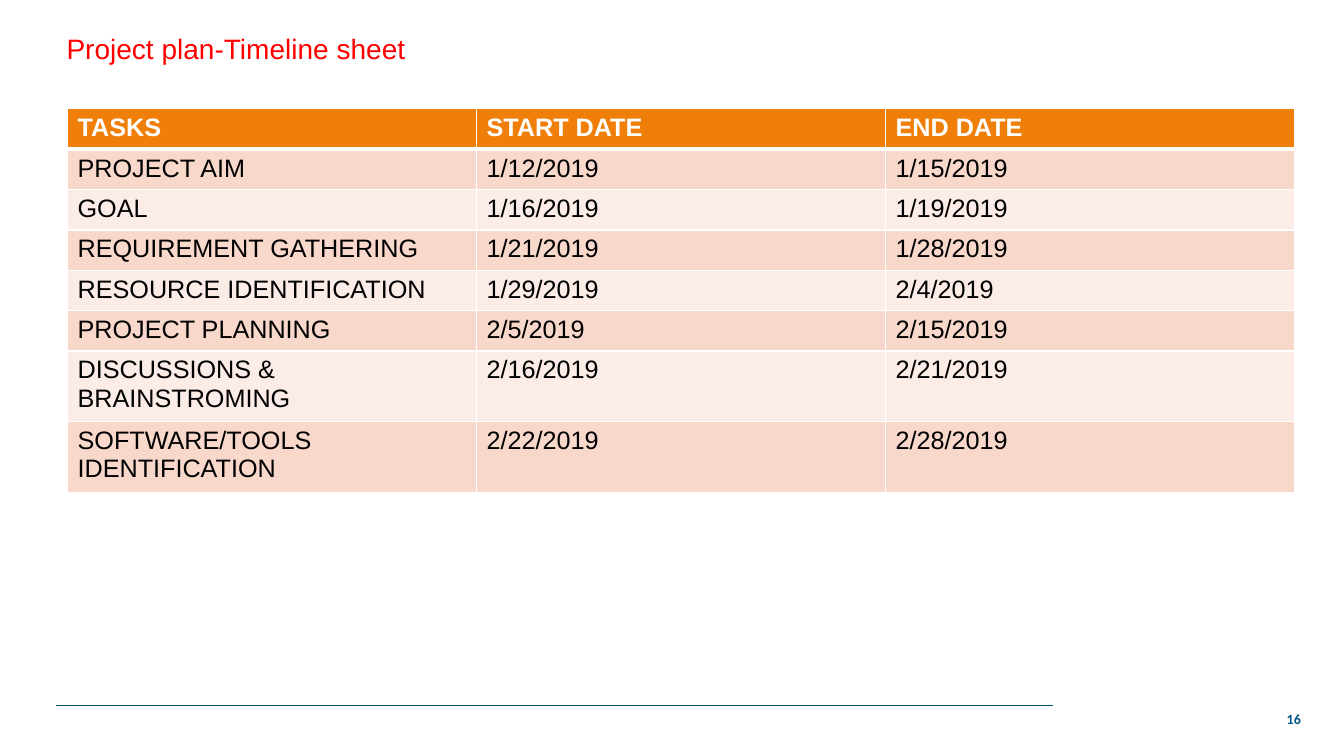
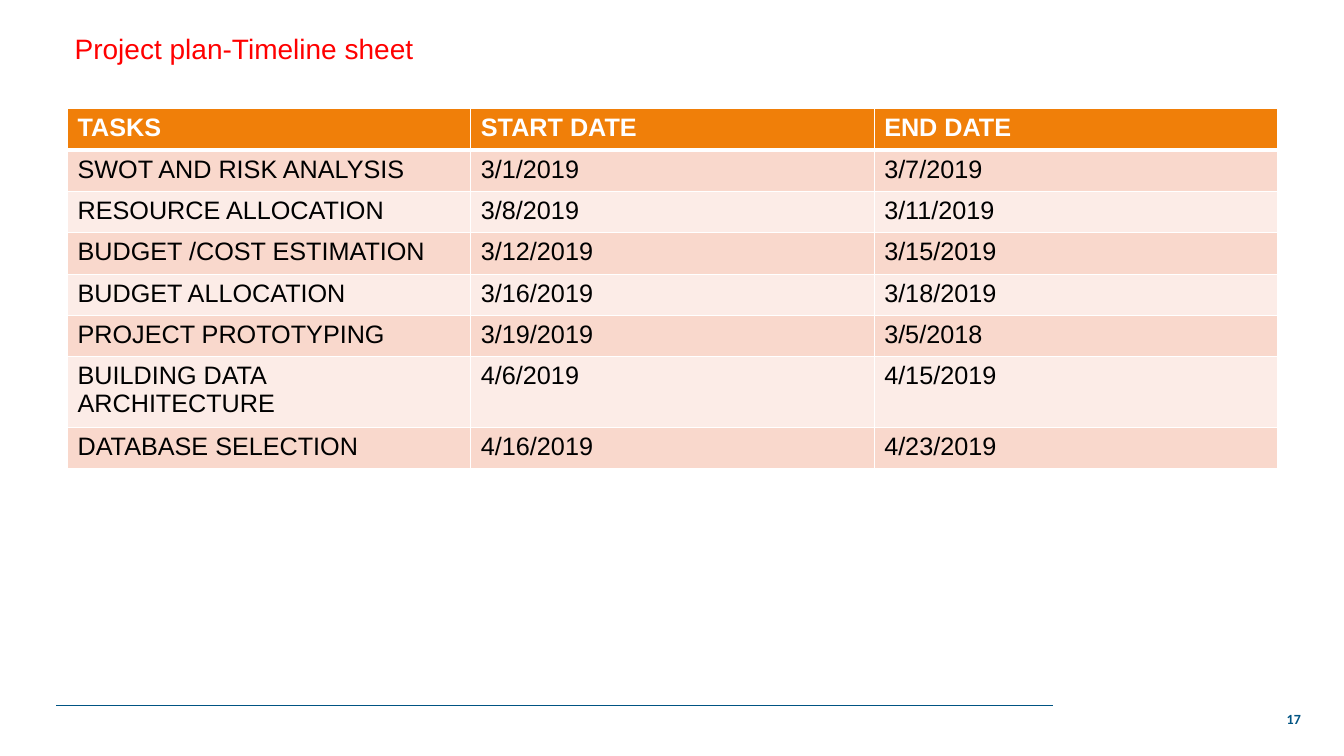
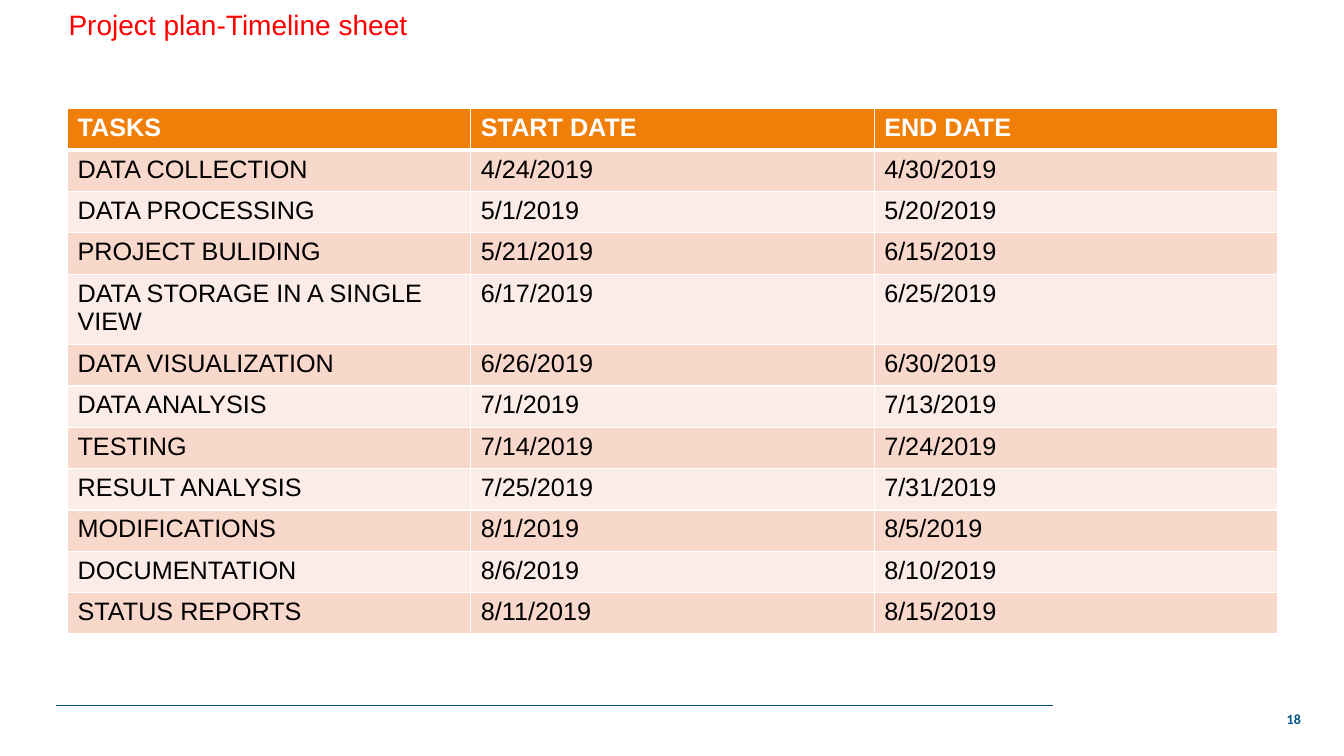
"""Build the three project plan timeline slides."""
from dataclasses import dataclass

from lxml.etree import SubElement
from pptx import Presentation
from pptx.dml.color import RGBColor
from pptx.enum.shapes import MSO_CONNECTOR
from pptx.enum.text import MSO_ANCHOR, PP_ALIGN
from pptx.oxml.ns import qn
from pptx.presentation import Presentation as Deck
from pptx.slide import Slide
from pptx.table import _Cell
from pptx.text.text import _Paragraph
from pptx.util import Inches, Pt

WHITE = RGBColor(0xFF, 0xFF, 0xFF)
BLACK = RGBColor(0x00, 0x00, 0x00)
RED = RGBColor(0xFF, 0x00, 0x00)
NAVY = RGBColor(0x00, 0x54, 0x83)
ORANGE = RGBColor(0xF0, 0x7F, 0x09)
BANDS = (RGBColor(0xF9, 0xD8, 0xCC), RGBColor(0xFC, 0xEC, 0xE7))
TITLE = "Project plan-Timeline sheet"
HEADER = ("TASKS", "START DATE", "END DATE")
FIRST_NUMBER = 16


@dataclass(frozen=True)
class Task:
    name: str
    start: str
    end: str
    height: float = 0.41


@dataclass(frozen=True)
class Sheet:
    tasks: tuple[Task, ...]
    header_height: float = 0.41
    table_width: float = 12
    title_left: float = 0.56
    title_top: float = 0.17
    title_inset: float = 0.1


SHEETS = (
    Sheet((
        Task("PROJECT AIM", "1/12/2019", "1/15/2019", 0.33),
        Task("GOAL", "1/16/2019", "1/19/2019", 0.33),
        Task("REQUIREMENT GATHERING", "1/21/2019", "1/28/2019", 0.33),
        Task("RESOURCE IDENTIFICATION", "1/29/2019", "2/4/2019", 0.33),
        Task("PROJECT PLANNING", "2/5/2019", "2/15/2019", 0.33),
        Task("DISCUSSIONS & BRAINSTROMING", "2/16/2019", "2/21/2019", 0.58),
        Task("SOFTWARE/TOOLS IDENTIFICATION", "2/22/2019", "2/28/2019", 0.58),
    ), header_height=0.33, table_width=12.17),
    Sheet((
        Task("SWOT AND RISK ANALYSIS", "3/1/2019", "3/7/2019"),
        Task("RESOURCE ALLOCATION", "3/8/2019", "3/11/2019"),
        Task("BUDGET /COST ESTIMATION", "3/12/2019", "3/15/2019"),
        Task("BUDGET ALLOCATION", "3/16/2019", "3/18/2019"),
        Task("PROJECT PROTOTYPING", "3/19/2019", "3/5/2018"),
        Task("BUILDING DATA ARCHITECTURE", "4/6/2019", "4/15/2019"),
        Task("DATABASE SELECTION", "4/16/2019", "4/23/2019"),
    ), title_inset=0.18),
    Sheet((
        Task("DATA COLLECTION", "4/24/2019", "4/30/2019"),
        Task("DATA PROCESSING", "5/1/2019", "5/20/2019"),
        Task("PROJECT BULIDING", "5/21/2019", "6/15/2019"),
        Task("DATA STORAGE IN A SINGLE VIEW", "6/17/2019", "6/25/2019"),
        Task("DATA VISUALIZATION", "6/26/2019", "6/30/2019"),
        Task("DATA ANALYSIS", "7/1/2019", "7/13/2019"),
        Task("TESTING", "7/14/2019", "7/24/2019"),
        Task("RESULT ANALYSIS", "7/25/2019", "7/31/2019"),
        Task("MODIFICATIONS", "8/1/2019", "8/5/2019"),
        Task("DOCUMENTATION", "8/6/2019", "8/10/2019"),
        Task("STATUS REPORTS", "8/11/2019", "8/15/2019"),
    ), title_left=0.58, title_top=-0.07),
)


def add_run(p: _Paragraph, text: str, size: float, color: RGBColor,
            bold: bool = False, font: str = "Arial") -> None:
    r = p.add_run()
    r.text = text
    r.font.name = font
    r.font.size = Pt(size)
    r.font.bold = bold
    r.font.color.rgb = color


def add_title(s: Slide, sheet: Sheet) -> None:
    sp = s.shapes.title
    sp.left, sp.top = Inches(sheet.title_left), Inches(sheet.title_top)
    sp.width, sp.height = Inches(12), Inches(0.62)
    tf = sp.text_frame
    tf.vertical_anchor = MSO_ANCHOR.MIDDLE
    tf.margin_left = Inches(sheet.title_inset)
    p = tf.paragraphs[0]
    p.alignment = PP_ALIGN.LEFT
    add_run(p, TITLE, 20, RED)


def add_footer(s: Slide, number: int) -> None:
    sp = s.shapes.add_textbox(Inches(9.56), Inches(6.83), Inches(3.44), Inches(0.52))
    tf = sp.text_frame
    tf.word_wrap = True
    tf.margin_top = Inches(0.22)
    p = tf.paragraphs[0]
    p.alignment = PP_ALIGN.RIGHT
    add_run(p, str(number), 10, NAVY, True, "Calibri")
    rule = s.shapes.add_connector(MSO_CONNECTOR.STRAIGHT, Inches(0.56), Inches(7),
                                  Inches(10.44), Inches(7))
    rule.line.color.rgb = NAVY
    rule.line.width = Pt(0.75)
    SubElement(rule._element.spPr, qn("a:effectLst"))


def set_borders(cell: _Cell, top: float, bottom: float) -> None:
    tc_pr = cell._tc.get_or_add_tcPr()
    for side, width in (("L", 1), ("R", 1), ("T", top), ("B", bottom)):
        ln = SubElement(tc_pr, qn(f"a:ln{side}"), w=str(Pt(width)))
        fill = SubElement(ln, qn("a:solidFill"))
        SubElement(fill, qn("a:srgbClr"), val=str(WHITE))


def add_timeline(s: Slide, sheet: Sheet) -> None:
    rows = (Task(*HEADER, sheet.header_height), *sheet.tasks)
    frame = s.shapes.add_table(
        len(rows), len(HEADER), Inches(0.67), Inches(1.08), Inches(sheet.table_width),
        Inches(sum(task.height for task in rows)))
    table = frame.table
    for col in table.columns:
        col.width = Inches(sheet.table_width / len(HEADER))
    for i, task in enumerate(rows):
        table.rows[i].height = Inches(task.height)
        is_header = i == 0
        for j, text in enumerate((task.name, task.start, task.end)):
            cell = table.cell(i, j)
            set_borders(cell, 3 if i == 1 else 1, 3 if is_header else 1)
            cell.fill.solid()
            cell.fill.fore_color.rgb = ORANGE if is_header else BANDS[(i - 1) % 2]
            add_run(cell.text_frame.paragraphs[0], text, 18,
                    WHITE if is_header else BLACK, is_header)


def add_sheet(prs: Deck, sheet: Sheet, number: int) -> None:
    s = prs.slides.add_slide(prs.slide_layouts.get_by_name("Title Only"))
    add_footer(s, number)
    add_title(s, sheet)
    add_timeline(s, sheet)


def main() -> None:
    prs = Presentation()
    prs.slide_width, prs.slide_height = Inches(13.33), Inches(7.5)
    for number, sheet in enumerate(SHEETS, FIRST_NUMBER):
        add_sheet(prs, sheet, number)
    prs.save("out.pptx")


if __name__ == "__main__":
    main()
